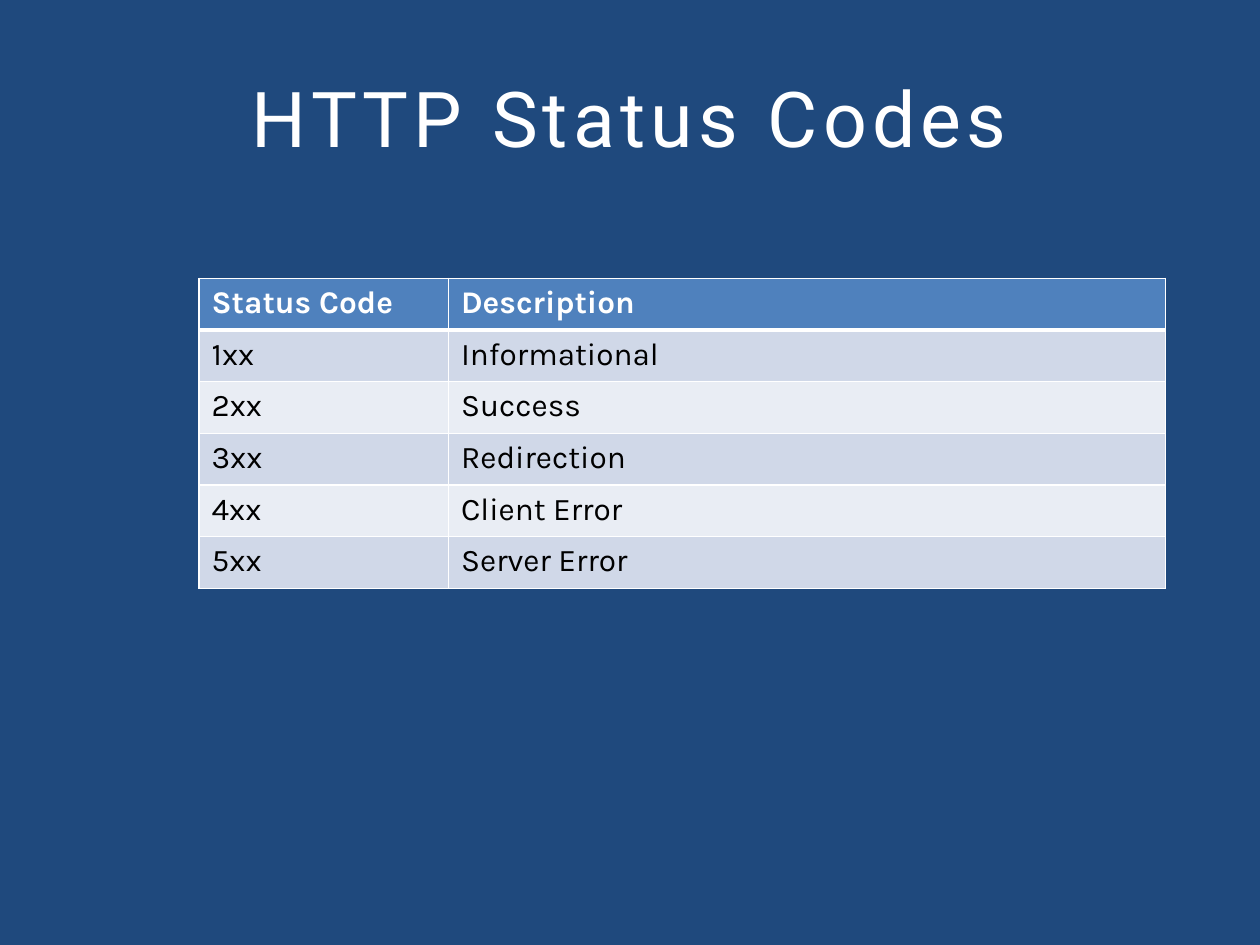
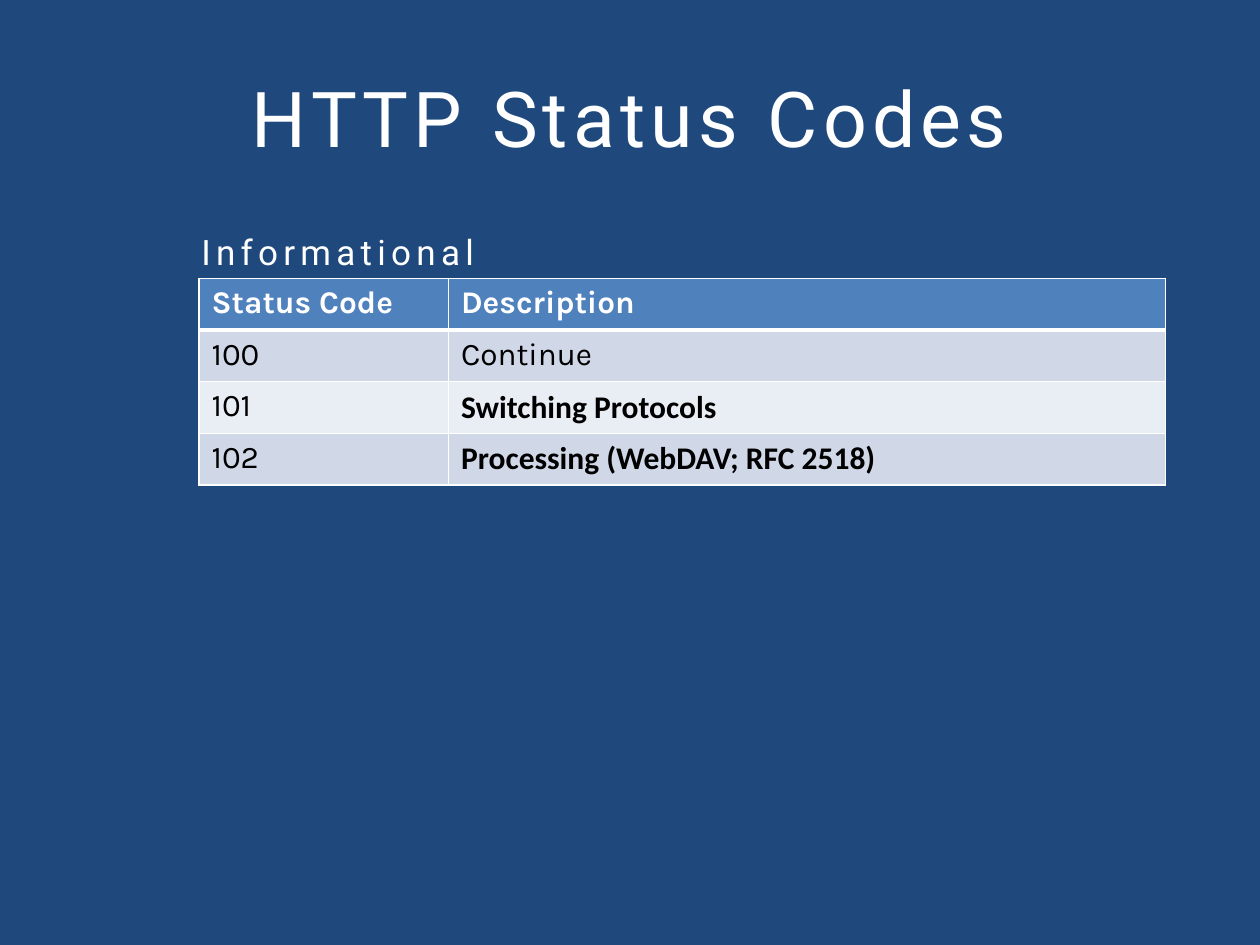
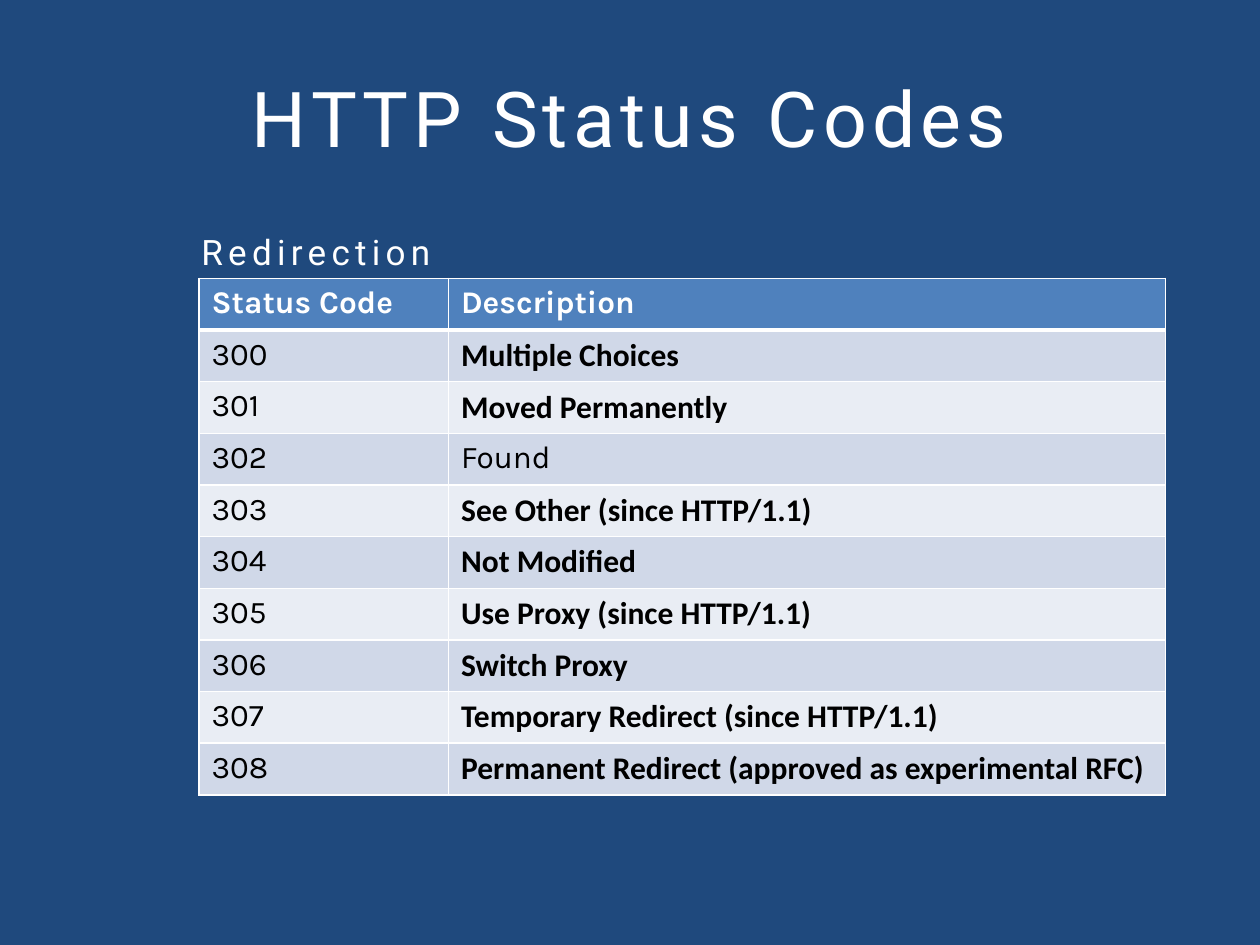
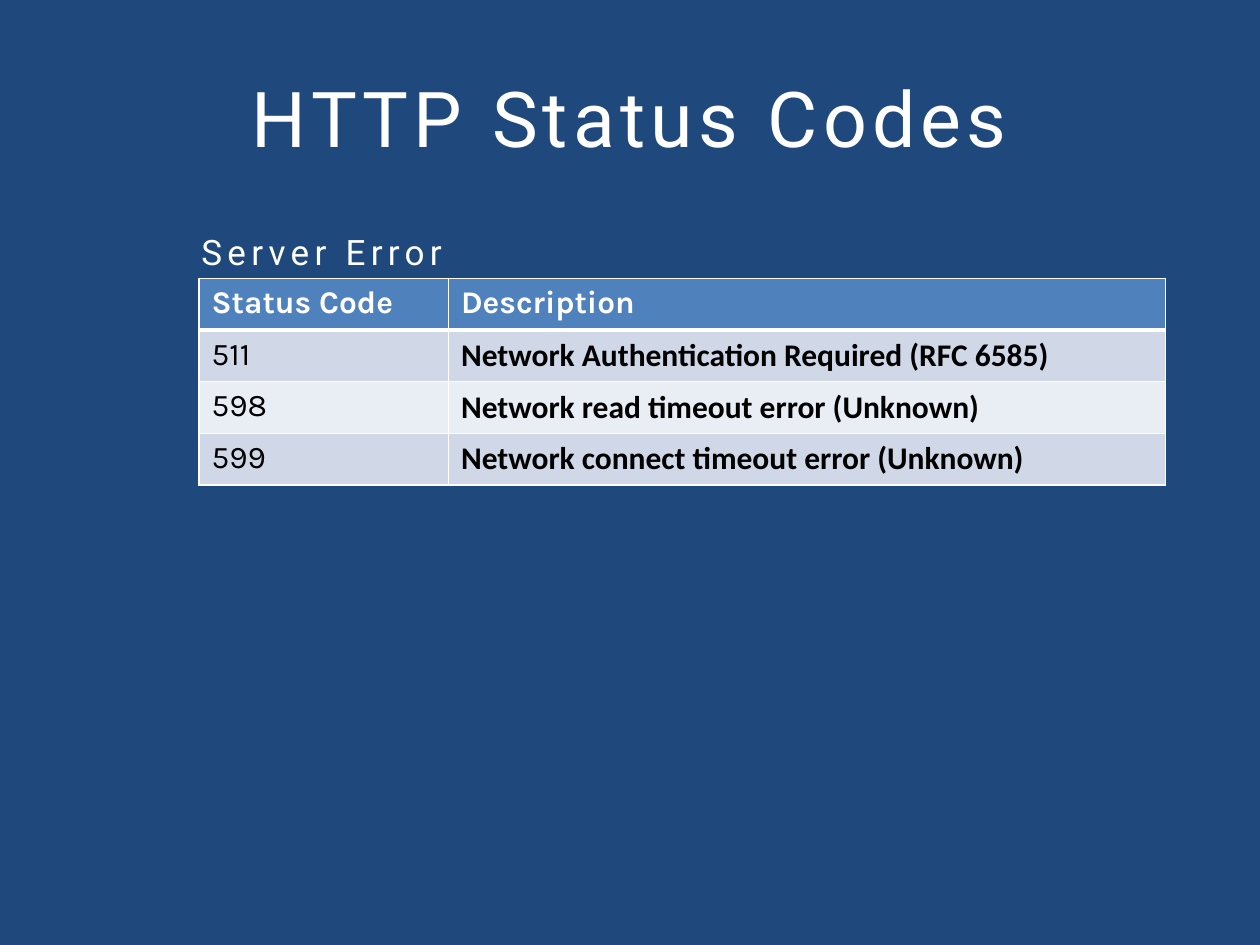
from dataclasses import dataclass

from lxml.etree import SubElement
from pptx import Presentation
from pptx.dml.color import RGBColor as Color
from pptx.enum.text import MSO_ANCHOR as Anchor, PP_ALIGN as Align
from pptx.oxml.ns import qn
from pptx.util import Inches, Pt


@dataclass(frozen=True)
class Theme:
    background: str = "1F497D"
    header: str = "4F81BD"
    bands: tuple = ("D0D8E8", "E9EDF4")
    light: str = "FFFFFF"
    dark: str = "000000"
    heading_font: str = "Roboto"
    table_font: str = "Karla"
    bold_font: str = "Calibri"
    title_size: int = 44
    caption_size: int = 20
    table_size: int = 18
    heading_spacing: int = 3
    thin_line: int = 1
    header_line: int = 3


theme = Theme()

TITLE = "HTTP Status Codes"
HEADER = ("Status Code", "Description")
COLUMN_WIDTHS = (1.98, 5.69)
ROW_HEIGHT = 0.41
PLAIN_DESCRIPTIONS = {"Continue", "Found"}

# Each page: caption, caption width, table rows
PAGES = [
    (None, 0, [
        ("1xx", "Informational"),
        ("2xx", "Success"),
        ("3xx", "Redirection"),
        ("4xx", "Client Error"),
        ("5xx", "Server Error"),
    ]),
    ("Informational", 3.67, [
        ("100", "Continue"),
        ("101", "Switching Protocols"),
        ("102", "Processing (WebDAV; RFC 2518)"),
    ]),
    ("Redirection", 2.25, [
        ("300", "Multiple Choices"),
        ("301", "Moved Permanently"),
        ("302", "Found"),
        ("303", "See Other (since HTTP/1.1)"),
        ("304", "Not Modified"),
        ("305", "Use Proxy (since HTTP/1.1)"),
        ("306", "Switch Proxy"),
        ("307", "Temporary Redirect (since HTTP/1.1)"),
        ("308", "Permanent Redirect (approved as experimental RFC)"),
    ]),
    ("Server Error", 2.25, [
        ("511", "Network Authentication Required (RFC 6585)"),
        ("598", "Network read timeout error (Unknown)"),
        ("599", "Network connect timeout error (Unknown)"),
    ]),
]


def write_text(frame, text, *, font, size, color, bold=False, spacing=0,
               align=Align.LEFT, anchor=Anchor.TOP):
    """Write one formatted paragraph; spacing is letter spacing in points."""
    frame.word_wrap = True
    frame.vertical_anchor = anchor
    para = frame.paragraphs[0]
    para.alignment = align
    span = para.add_run()
    span.text = text
    span.font.name = font
    span.font.size = Pt(size)
    span.font.bold = bold
    span.font.color.rgb = Color.from_string(color)
    if spacing:
        span.font._element.set("spc", str(spacing * 100))


def style_cell(cell, fill, top, bottom):
    """Fill a cell and draw its borders; top and bottom are widths in points."""
    properties = cell._tc.get_or_add_tcPr()
    sides = {"lnL": theme.thin_line, "lnR": theme.thin_line, "lnT": top, "lnB": bottom}
    for side, width in sides.items():
        line = SubElement(properties, qn(f"a:{side}"), w=str(Pt(width)))
        SubElement(SubElement(line, qn("a:solidFill")), qn("a:srgbClr"), val=theme.light)
    cell.fill.solid()
    cell.fill.fore_color.rgb = Color.from_string(fill)


deck = Presentation()
deck.slide_width, deck.slide_height = Inches(10), Inches(7.5)
blank_layout = deck.slide_layouts[6]
backdrop = deck.slide_master.background.fill
backdrop.solid()
backdrop.fore_color.rgb = Color.from_string(theme.background)
heading = dict(font=theme.heading_font, color=theme.light,
               spacing=theme.heading_spacing, anchor=Anchor.MIDDLE)

for caption, caption_width, codes in PAGES:
    page = deck.slides.add_slide(blank_layout)
    title_box = page.shapes.add_textbox(Inches(0.5), Inches(0.3), Inches(9), Inches(1.25))
    write_text(title_box.text_frame, TITLE, size=theme.title_size,
               align=Align.CENTER, **heading)

    rows = [HEADER, *codes]
    table = page.shapes.add_table(
        len(rows), len(HEADER), Inches(1.58), Inches(2.21),
        Inches(sum(COLUMN_WIDTHS)), Inches(ROW_HEIGHT * len(rows))).table
    for column, width in zip(table.columns, COLUMN_WIDTHS):
        column.width = Inches(width)

    for row_index, row in enumerate(rows):
        table.rows[row_index].height = Inches(ROW_HEIGHT)
        is_header = row_index == 0
        fill = theme.header if is_header else theme.bands[(row_index - 1) % 2]
        top = theme.header_line if row_index == 1 else theme.thin_line
        bottom = theme.header_line if is_header else theme.thin_line
        for column_index, text in enumerate(row):
            cell = table.cell(row_index, column_index)
            style_cell(cell, fill, top, bottom)
            stands_out = (caption and not is_header and column_index == 1
                          and text not in PLAIN_DESCRIPTIONS)
            write_text(cell.text_frame, text, size=theme.table_size,
                       font=theme.bold_font if stands_out else theme.table_font,
                       color=theme.light if is_header else theme.dark,
                       bold=bool(is_header or stands_out))

    if caption:
        caption_box = page.shapes.add_textbox(
            Inches(1.5), Inches(1.75), Inches(caption_width), Inches(0.5))
        write_text(caption_box.text_frame, caption, size=theme.caption_size, **heading)

deck.save("out.pptx")
